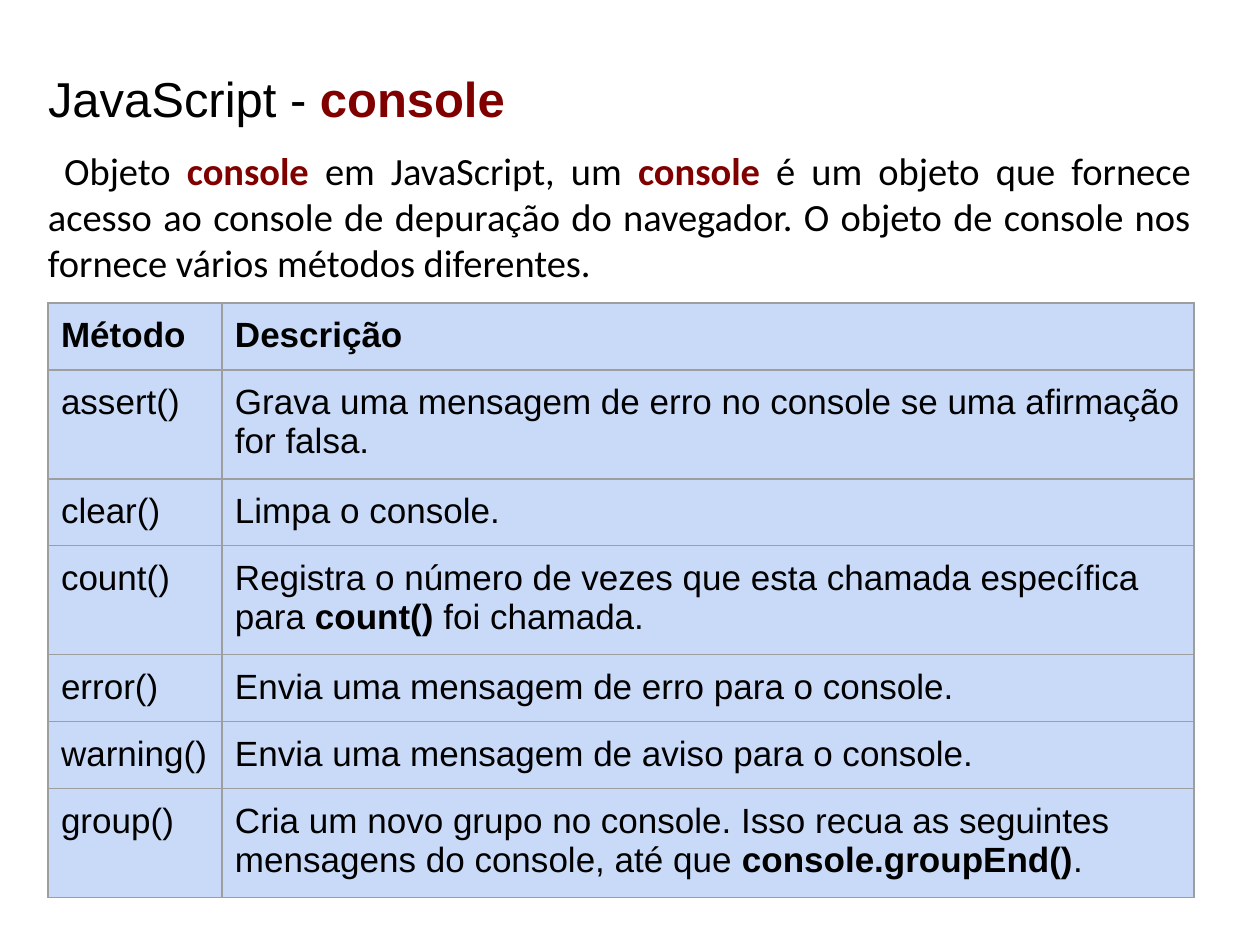
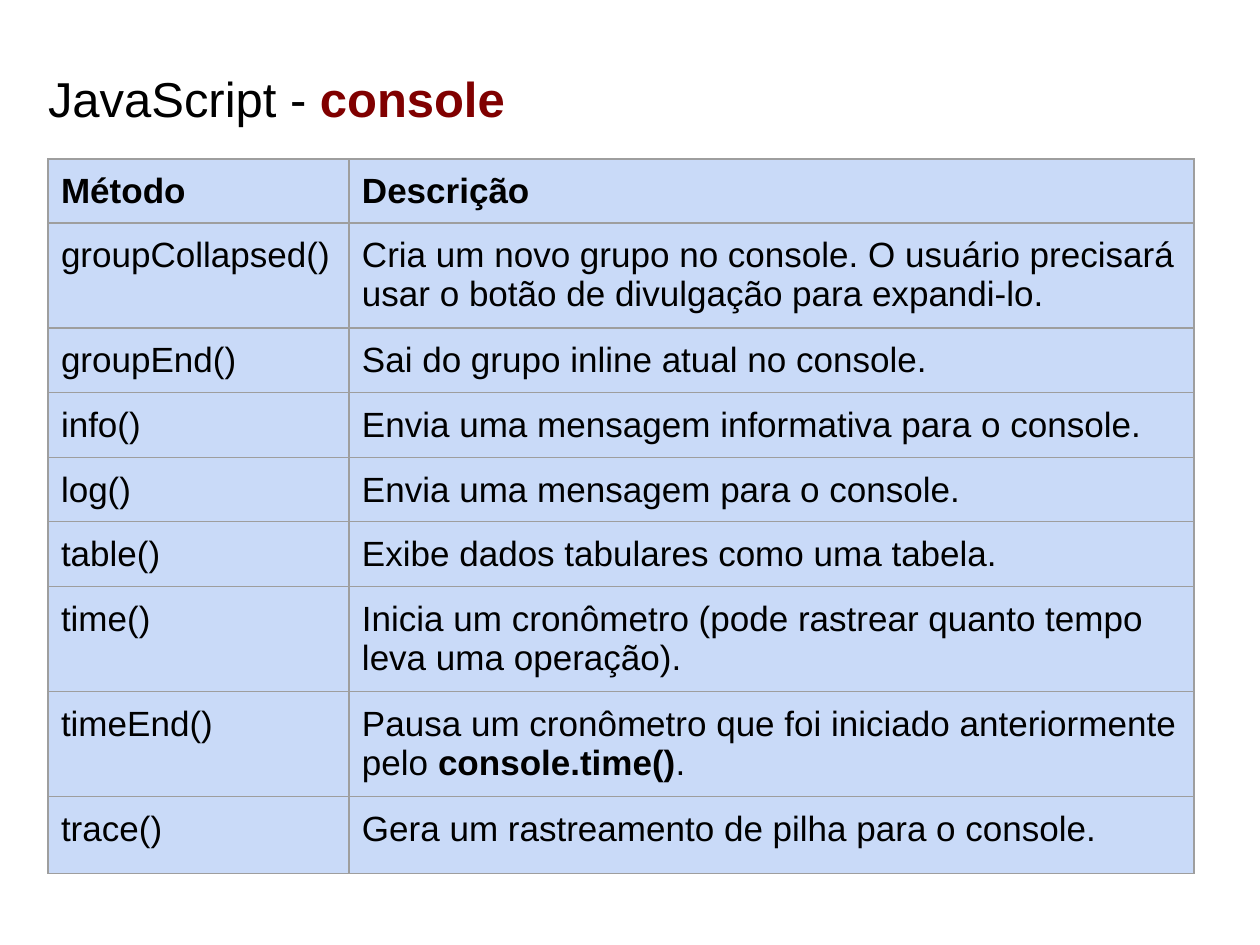
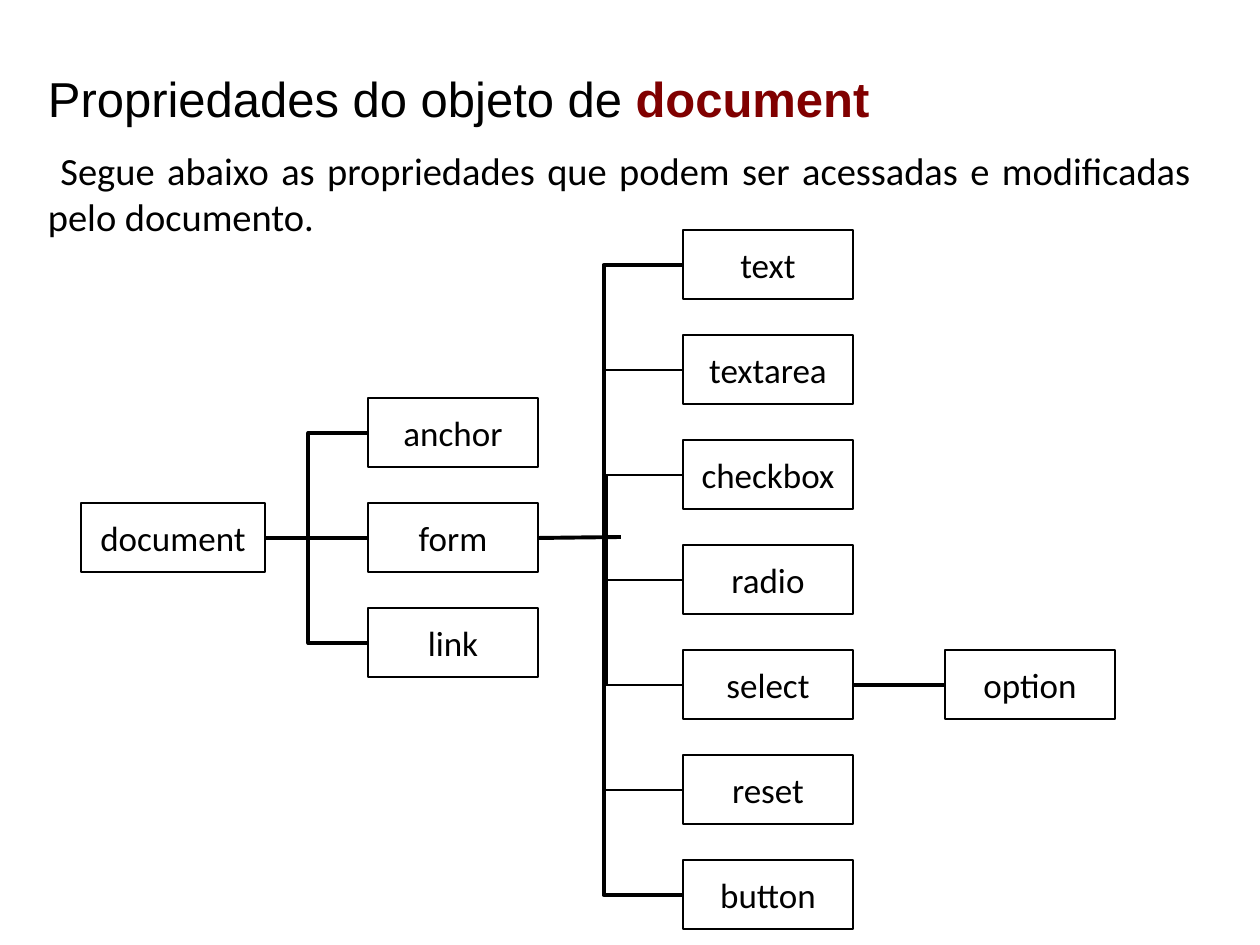
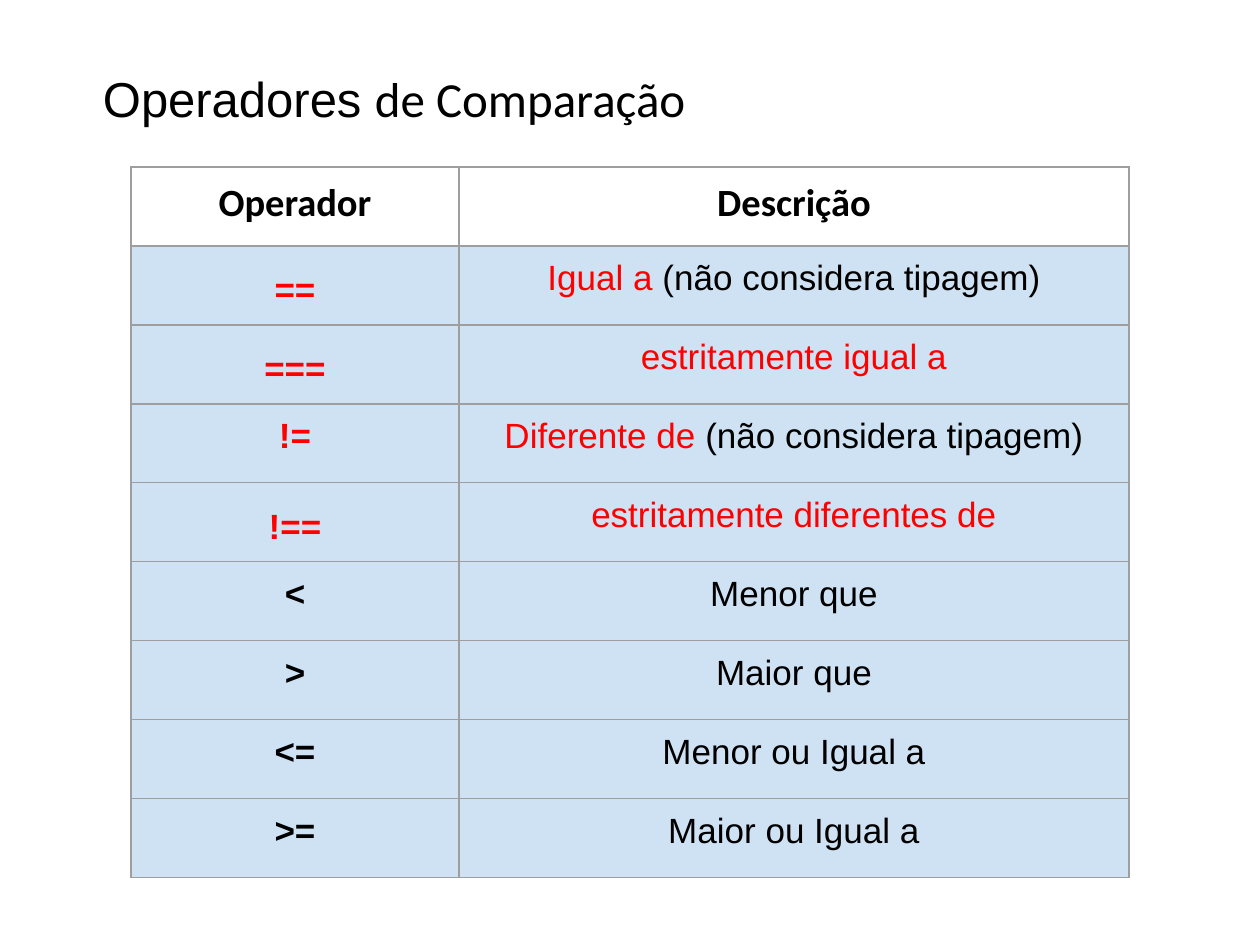
from dataclasses import dataclass, replace

from lxml.etree import SubElement
from pptx import Presentation
from pptx.dml.color import RGBColor
from pptx.enum.shapes import MSO_CONNECTOR as Connector, MSO_SHAPE as Preset
from pptx.enum.text import MSO_ANCHOR as Anchor, PP_ALIGN as Align
from pptx.oxml.ns import qn
from pptx.util import Emu, Pt

# Shared look
PX_PER_INCH = 126
BLACK, WHITE, MAROON, RED = "000000", "FFFFFF", "800000", "FF0000"
GRID, PALE_BLUE, SKY_BLUE = "9E9E9E", "C9DAF8", "CFE2F3"
SANS, HUMANIST = "Arial", "Calibri"
INSET, SMALL_INSET = 13, 6


@dataclass(frozen=True)
class Span:
    text: str
    color: str | None = None
    bold: bool | None = None
    font: str | None = None


Text = str | tuple[Span, ...]


@dataclass(frozen=True)
class Style:
    size: int
    font: str = SANS
    color: str = BLACK
    bold: bool = False
    align: Align = Align.LEFT
    spacing: float | None = None


@dataclass(frozen=True)
class Cell:
    text: Text
    style: Style
    fill: str | None


@dataclass(frozen=True)
class Node:
    label: str
    left: int
    top: int
    width: int = 170


@dataclass(frozen=True)
class Bracket:
    right: int
    top: int
    bottom: int
    reach: int
    weight: float


@dataclass(frozen=True)
class Link:
    start: tuple[int, int]
    end: tuple[int, int]


TITLE = Style(28)
BODY = Style(22, HUMANIST, align=Align.JUSTIFY)
NODE = Style(20, HUMANIST, align=Align.CENTER)
PLAIN = Style(20)
HEAD = replace(PLAIN, bold=True)
CENTERED = replace(PLAIN, align=Align.CENTER)


# Helpers
def px(length: float) -> Emu:
    return Emu(round(length * 914400 / PX_PER_INCH))


def rgb(color: str) -> RGBColor:
    return RGBColor.from_string(color)


def write(frame, text: Text, style: Style) -> None:
    para = frame.paragraphs[0]
    para.alignment = style.align
    para.line_spacing = style.spacing
    para.font.size, para.font.bold = Pt(style.size), style.bold
    para.font.name = style.font
    para.font.color.rgb = rgb(style.color)
    for span in (Span(text),) if isinstance(text, str) else text:
        run = para.add_run()
        run.text = span.text
        if span.bold is not None:
            run.font.bold = span.bold
        if span.font:
            run.font.name = span.font
        if span.color:
            run.font.color.rgb = rgb(span.color)


def set_insets(holder, side: int, top: int, bottom: int) -> None:
    holder.margin_left = holder.margin_right = px(side)
    holder.margin_top, holder.margin_bottom = px(top), px(bottom)


def add_text(page, left: int, top: int, width: int, height: int, text: Text,
             style: Style, anchor: Anchor, end_inset: int) -> None:
    box = page.shapes.add_textbox(px(left), px(top), px(width), px(height))
    frame = box.text_frame
    frame.word_wrap, frame.vertical_anchor = True, anchor
    set_insets(frame, INSET, end_inset, end_inset)
    write(frame, text, style)


def add_page(deck, title: Text, left: int = 35, width: int = 1126):
    page = deck.slides.add_slide(deck.slide_layouts[6])
    add_text(page, left, 22, width, 151, title, TITLE, Anchor.MIDDLE, SMALL_INSET)
    return page


def add_body(page, height: int, text: Text) -> None:
    add_text(page, 35, 134, 1169, height, text, BODY, Anchor.TOP, INSET)


def add_borders(cell) -> None:
    properties = cell._tc.get_or_add_tcPr()
    for side in ("lnL", "lnR", "lnT", "lnB"):
        line = SubElement(properties, qn(f"a:{side}"), w=str(Pt(0.75)))
        paint = SubElement(line, qn("a:solidFill"))
        SubElement(paint, qn("a:srgbClr"), val=GRID)


def add_grid(page, left: int, top: int, widths: list[int], heights: list[int],
             rows: list[list[Cell]]) -> None:
    table = page.shapes.add_table(len(rows), len(widths), px(left), px(top),
                                  px(sum(widths)), px(sum(heights))).table
    table.first_row = table.horz_banding = False
    for column, width in zip(table.columns, widths):
        column.width = px(width)
    for row, height, entries in zip(table.rows, heights, rows):
        row.height = px(height)
        for cell, entry in zip(row.cells, entries):
            # The small bottom inset keeps rows from growing past their height
            set_insets(cell, INSET, INSET, SMALL_INSET)
            add_borders(cell)
            if entry.fill:
                cell.fill.solid()
                cell.fill.fore_color.rgb = rgb(entry.fill)
            else:
                cell.fill.background()
            write(cell.text_frame, entry.text, entry.style)


def add_methods(page, top: int, widths: list[int], heights: list[int],
                methods: list[tuple[str, Text]]) -> None:
    rows = [[Cell(text, HEAD, PALE_BLUE) for text in ("Método", "Descrição")]]
    rows += [[Cell(text, PLAIN, PALE_BLUE) for text in method] for method in methods]
    add_grid(page, 48, top, widths, heights, rows)


def add_node(page, node: Node) -> None:
    box = page.shapes.add_shape(Preset.RECTANGLE, px(node.left), px(node.top),
                                px(node.width), px(NODE_HEIGHT))
    box.shadow.inherit = False
    box.fill.solid()
    box.fill.fore_color.rgb = rgb(WHITE)
    box.line.color.rgb, box.line.width = rgb(BLACK), Pt(1.5)
    frame = box.text_frame
    frame.word_wrap, frame.vertical_anchor = True, Anchor.MIDDLE
    set_insets(frame, INSET, INSET, INSET)
    write(frame, node.label, NODE)


def add_line(page, kind: Connector, start: tuple[int, int], end: tuple[int, int],
             weight: float):
    line = page.shapes.add_connector(kind, *map(px, start + end))
    line.line.color.rgb, line.line.width = rgb(BLACK), Pt(weight)
    SubElement(line._element.spPr, qn("a:effectLst"))
    return line


def add_bracket(page, bracket: Bracket) -> None:
    # One px wide, so the bend is the reach in whole widths to the left
    line = add_line(page, Connector.ELBOW, (bracket.right, bracket.top),
                    (bracket.right + 1, bracket.bottom), bracket.weight)
    adjustments = line._element.spPr.find(qn("a:prstGeom")).get_or_add_avLst()
    SubElement(adjustments, qn("a:gd"), name="adj1",
               fmla=f"val {-bracket.reach * 100000}")


# Slides 1 and 2: console methods
CONSOLE_TITLE = (Span("JavaScript - "), Span("console", MAROON, True))


def build_console_intro(deck) -> None:
    page = add_page(deck, CONSOLE_TITLE)
    add_body(page, 165, (
        Span(" Objeto "), Span("console", MAROON, True),
        Span(" em JavaScript, um "), Span("console", MAROON, True),
        Span(" é um objeto que fornece acesso ao console de depuração do navegador. "
             "O objeto de console nos fornece vários métodos diferentes."),
    ))
    single, double = 67, 109
    heights = [single, double, single, double, single, single, double]
    add_methods(page, 303, [174, 972], heights, [
        ("assert()", "Grava uma mensagem de erro no console se uma afirmação for falsa."),
        ("clear()", "Limpa o console."),
        ("count()", (Span("Registra o número de vezes que esta chamada específica para "),
                     Span("count()", bold=True), Span(" foi chamada."))),
        ("error()", "Envia uma mensagem de erro para o console."),
        ("warning()", "Envia uma mensagem de aviso para o console."),
        ("group()", (Span("Cria um novo grupo no console. Isso recua as seguintes "
                          "mensagens do console, até que "),
                     Span("console.groupEnd()", bold=True), Span("."))),
    ])


def build_console_more(deck) -> None:
    page = add_page(deck, CONSOLE_TITLE)
    header, single, double, last = 64, 65, 105, 77
    heights = [header, double, single, single, header, single, double, double, last]
    add_methods(page, 159, [301, 845], heights, [
        ("groupCollapsed()", "Cria um novo grupo no console. O usuário precisará usar o "
                             "botão de divulgação para expandi-lo."),
        ("groupEnd()", "Sai do grupo inline atual no console."),
        ("info()", "Envia uma mensagem informativa para o console."),
        ("log()", "Envia uma mensagem para o console."),
        ("table()", "Exibe dados tabulares como uma tabela."),
        ("time()", "Inicia um cronômetro (pode rastrear quanto tempo leva uma operação)."),
        ("timeEnd()", (Span("Pausa um cronômetro que foi iniciado anteriormente pelo "),
                       Span("console.time()", bold=True), Span("."))),
        ("trace()", "Gera um rastreamento de pilha para o console."),
    ])


# Slide 3: document tree
NODE_HEIGHT, NODE_STEP = 69, 105
CHILD_LEFT, FIELD_LEFT, OPTION_LEFT = 368, 683, 945
CHILD_TOP, FIELD_TOP = 398, 230


def middle(first_top: int, index: int) -> int:
    return first_top + index * NODE_STEP + (NODE_HEIGHT + 1) // 2


def column(labels: list[str], left: int, first_top: int) -> list[Node]:
    return [Node(label, left, first_top + index * NODE_STEP)
            for index, label in enumerate(labels)]


def build_document_tree(deck) -> None:
    page = add_page(deck, (Span("Propriedades do objeto de "),
                           Span("document", MAROON, True)), width=1159)
    add_body(page, 118, " Segue abaixo as propriedades que podem ser acessadas "
                        "e modificadas pelo documento.")
    children = column(["anchor", "form", "link"], CHILD_LEFT, CHILD_TOP)
    fields = column(["text", "textarea", "checkbox", "radio", "select", "reset", "button"],
                    FIELD_LEFT, FIELD_TOP)
    root = Node("document", 81, children[1].top, 184)
    option = Node("option", OPTION_LEFT, fields[4].top)
    for node in [root, *children, *fields, option]:
        add_node(page, node)

    add_bracket(page, Bracket(CHILD_LEFT, middle(CHILD_TOP, 0), middle(CHILD_TOP, 2),
                              60, 2.25))
    for first, last, reach, weight in [(0, 6, 80, 2.25), (1, 5, 80, 1.5),
                                       (2, 4, 77, 1.5), (1, 3, 80, 1.5)]:
        add_bracket(page, Bracket(FIELD_LEFT, middle(FIELD_TOP, first),
                                  middle(FIELD_TOP, last), reach, weight))

    form_y, select_y = middle(CHILD_TOP, 1), middle(FIELD_TOP, 4)
    for link in [
        Link((root.left + root.width, form_y), (CHILD_LEFT, form_y)),
        Link((CHILD_LEFT + children[1].width, form_y), (621, form_y - 1)),
        Link((OPTION_LEFT, select_y), (FIELD_LEFT + fields[4].width, select_y)),
    ]:
        add_line(page, Connector.STRAIGHT, link.start, link.end, 2.25)


# Slide 4: comparison operators
def build_operators(deck) -> None:
    page = add_page(deck, (Span("Operadores "), Span("de Comparação", font=HUMANIST)),
                    left=90, width=1114)
    head = replace(BODY, bold=True, align=Align.CENTER)
    sign = replace(CENTERED, bold=True)
    key_sign = replace(sign, color=RED)
    tall_sign = replace(key_sign, spacing=1.3)
    key = replace(CENTERED, color=RED)
    aside = Span("(não considera tipagem)", BLACK)
    rows = [[Cell(text, head, None) for text in ("Operador", "Descrição")]]
    for operator, operator_style, meaning, meaning_style in [
        ("==", tall_sign, (Span("Igual a "), aside), key),
        ("===", tall_sign, "estritamente igual a", key),
        ("!=", key_sign, (Span("Diferente de "), aside), key),
        ("!==", tall_sign, "estritamente diferentes de", key),
        ("<", sign, "Menor que", CENTERED),
        (">", sign, "Maior que", CENTERED),
        ("<=", sign, "Menor ou Igual a", CENTERED),
        (">=", sign, "Maior ou Igual a", CENTERED),
    ]:
        rows.append([Cell(operator, operator_style, SKY_BLUE),
                     Cell(meaning, meaning_style, SKY_BLUE)])
    add_grid(page, 131, 167, [328, 670], [79] * len(rows), rows)


def main() -> None:
    deck = Presentation()
    deck.slide_width, deck.slide_height = px(1260), px(945)
    build_console_intro(deck)
    build_console_more(deck)
    build_document_tree(deck)
    build_operators(deck)
    deck.save("out.pptx")


if __name__ == "__main__":
    main()
